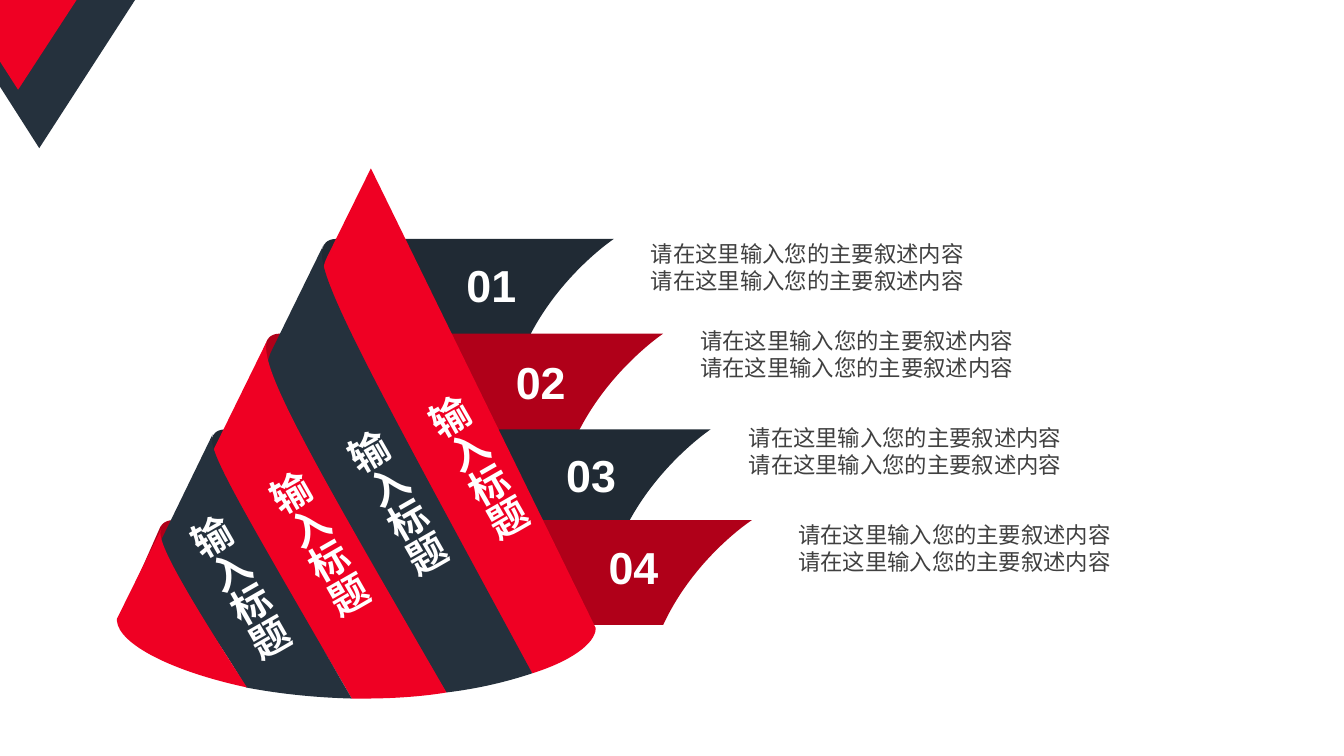
from lxml.etree import SubElement
from pptx import Presentation
from pptx.dml.color import RGBColor
from pptx.enum.text import MSO_AUTO_SIZE, PP_ALIGN
from pptx.oxml.ns import qn
from pptx.util import Inches, Pt

RED, NAVY = "EF0023", "25313D"
DARK_RED, DARK_NAVY = "B00019", "202A34"
WHITE, GREY = "FFFFFF", "404040"


def rgb(value):
    return RGBColor.from_string(value)


def point_pairs(segment):
    return list(zip(segment[::2], segment[1::2]))


def bend(panel, segments):
    contour = next(panel._element.iter(qn("a:path")))
    steps = iter(contour.findall(qn("a:lnTo")))
    for segment in segments:
        members = [next(steps) for _ in point_pairs(segment)]
        if len(members) == 3:
            curve = SubElement(contour, qn("a:cubicBezTo"))
            members[0].addprevious(curve)
            for member in members:
                curve.append(member[0])
                contour.remove(member)


def folded_ribbon(fold, top, tip):
    left, bottom = fold - 0.57, top + 1.44
    notch, notch_y = tip - 0.9, top + 1.1
    return [
        (fold, top + 0.07),
        (left, bottom),
        (left + 0.09, bottom - 0.28, notch - 0.1, notch_y + 0.25, notch, notch_y),
        (notch + 0.3, top + 0.4, tip, top, tip, top),
        (fold + 0.13, top),
        (fold + 0.02, top, fold, top + 0.07, fold, top + 0.07),
    ]


class ConeSlide:
    base = {"name": "Arial"}
    styles = {
        "band": {"size": Pt(28), "bold": True, "color": WHITE},
        "number": {"size": Pt(32), "bold": True, "color": WHITE},
        "body": {"size": Pt(16), "color": GREY},
    }

    def __init__(self, presentation):
        self.slide = presentation.slides.add_slide(presentation.slide_layouts[6])

    def outline(self, segments, color, group=None):
        shapes = (group or self.slide).shapes
        points = [
            (Inches(x), Inches(y))
            for segment in segments
            for x, y in point_pairs(segment)
        ]
        builder = shapes.build_freeform(*points[0])
        builder.add_line_segments(points[1:], close=True)
        panel = builder.convert_to_shape()
        bend(panel, segments[1:])
        panel.shadow.inherit = False
        panel.fill.solid()
        panel.fill.fore_color.rgb = rgb(color)
        panel.line.fill.background()

    def corner(self, outlines):
        group = self.slide.shapes.add_group_shape()
        for color, segments in outlines:
            self.outline(segments, color, group)

    def text(self, lines, style, box, align=None, wrap=False):
        label = self.slide.shapes.add_textbox(*map(Inches, box))
        frame = label.text_frame
        frame.word_wrap = wrap
        frame.auto_size = MSO_AUTO_SIZE.SHAPE_TO_FIT_TEXT
        for index, line in enumerate(lines):
            paragraph = frame.add_paragraph() if index else frame.paragraphs[0]
            paragraph.alignment = align
            run = paragraph.add_run()
            run.text = line
            for name, value in {**self.base, **self.styles[style]}.items():
                if name == "color":
                    run.font.color.rgb = rgb(value)
                else:
                    setattr(run.font, name, value)
        return label

    def band_title(self, title, left, top):
        label = self.text([title], "band", (left, top, 0.67, 1.67))
        label.rotation = 330.2
        label.text_frame._txBody.bodyPr.set("vert", "eaVert")

    def number(self, value, left, top, width):
        self.text([value], "number", (left, top, width, 0.64), PP_ALIGN.CENTER, True)

    def description(self, lines, left, top):
        self.text(lines, "body", (left, top, 3.34, 1.31))


CORNER = [
    (NAVY, [(0.39, 1.47), (1.34, 0), (0, 0), (0, 0.86)]),
    (RED, [(0, 0.61), (0.18, 0.89), (0.76, 0), (0, 0)]),
]

RIBBONS = [
    (DARK_NAVY, folded_ribbon(3.21, 2.37, 6.09)),
    (DARK_RED, folded_ribbon(2.65, 3.31, 6.58)),
    (DARK_NAVY, folded_ribbon(2.11, 4.26, 7.05)),
    (DARK_RED, [
        (1.72, 5.16),
        (1.62, 5.16, 1.59, 5.23, 1.59, 5.23),
        (1.2, 6.11),
        (1.25, 5.97, 2.9, 6.11, 3.89, 6.2),
        (6.58, 6.2),
        (6.89, 5.53, 7.46, 5.16, 7.46, 5.16),
    ]),
]

CONE_BANDS = [
    (RED, [
        (5.91, 6.23), (3.68, 1.67), (3.25, 2.54),
        (3.15, 2.74, 2.94, 3.37, 5.28, 6.68),
        (5.66, 6.56, 5.9, 6.39, 5.91, 6.24),
    ]),
    (NAVY, [
        (2.7, 3.47),
        (2.36, 4.12, 3.6, 5.73, 4.43, 6.87),
        (4.76, 6.83, 5.04, 6.76, 5.28, 6.68),
        (3.58, 3.54, 3.09, 2.66, 3.21, 2.43),
    ]),
    (RED, [
        (2.08, 4.54),
        (2.43, 5.27, 2.95, 5.98, 3.49, 6.93),
        (3.53, 6.93, 3.58, 6.93, 3.62, 6.93),
        (3.9, 6.93, 4.19, 6.91, 4.43, 6.87),
        (3.07, 4.52, 2.56, 3.63, 2.65, 3.38),
    ]),
    (NAVY, [
        (1.56, 5.44),
        (1.81, 5.91, 2.14, 6.29, 2.44, 6.82),
        (2.75, 6.88, 3.11, 6.92, 3.49, 6.93),
        (2.33, 4.92, 2.05, 4.46, 2.11, 4.31),
    ]),
    (RED, [
        (1.16, 6.14), (1.16, 6.16),
        (1.18, 6.39, 1.7, 6.66, 2.45, 6.82),
        (1.7, 5.66, 1.55, 5.33, 1.6, 5.25),
    ]),
]

BAND_TITLE = "输入标题"
BAND_TITLE_PLACES = [(1.98, 4.99), (2.76, 4.56), (3.54, 4.15), (4.34, 3.8)]
NUMBERS = [
    ("01", 4.48, 2.51, 0.79),
    ("02", 4.91, 3.47, 0.91),
    ("03", 5.41, 4.39, 0.91),
    ("04", 5.83, 5.31, 0.91),
]
DESCRIPTION = ["请在这里输入您的主要叙述内容"] * 2
DESCRIPTION_PLACES = [(6.36, 2.33), (6.85, 3.2), (7.33, 4.16), (7.82, 5.12)]


def main():
    presentation = Presentation()
    presentation.slide_width = Inches(40 / 3)
    presentation.slide_height = Inches(7.5)
    cone = ConeSlide(presentation)
    cone.corner(CORNER)
    for color, segments in RIBBONS + CONE_BANDS:
        cone.outline(segments, color)
    for place in BAND_TITLE_PLACES:
        cone.band_title(BAND_TITLE, *place)
    for number in NUMBERS:
        cone.number(*number)
    for place in DESCRIPTION_PLACES:
        cone.description(DESCRIPTION, *place)
    presentation.save("out.pptx")


if __name__ == "__main__":
    main()
